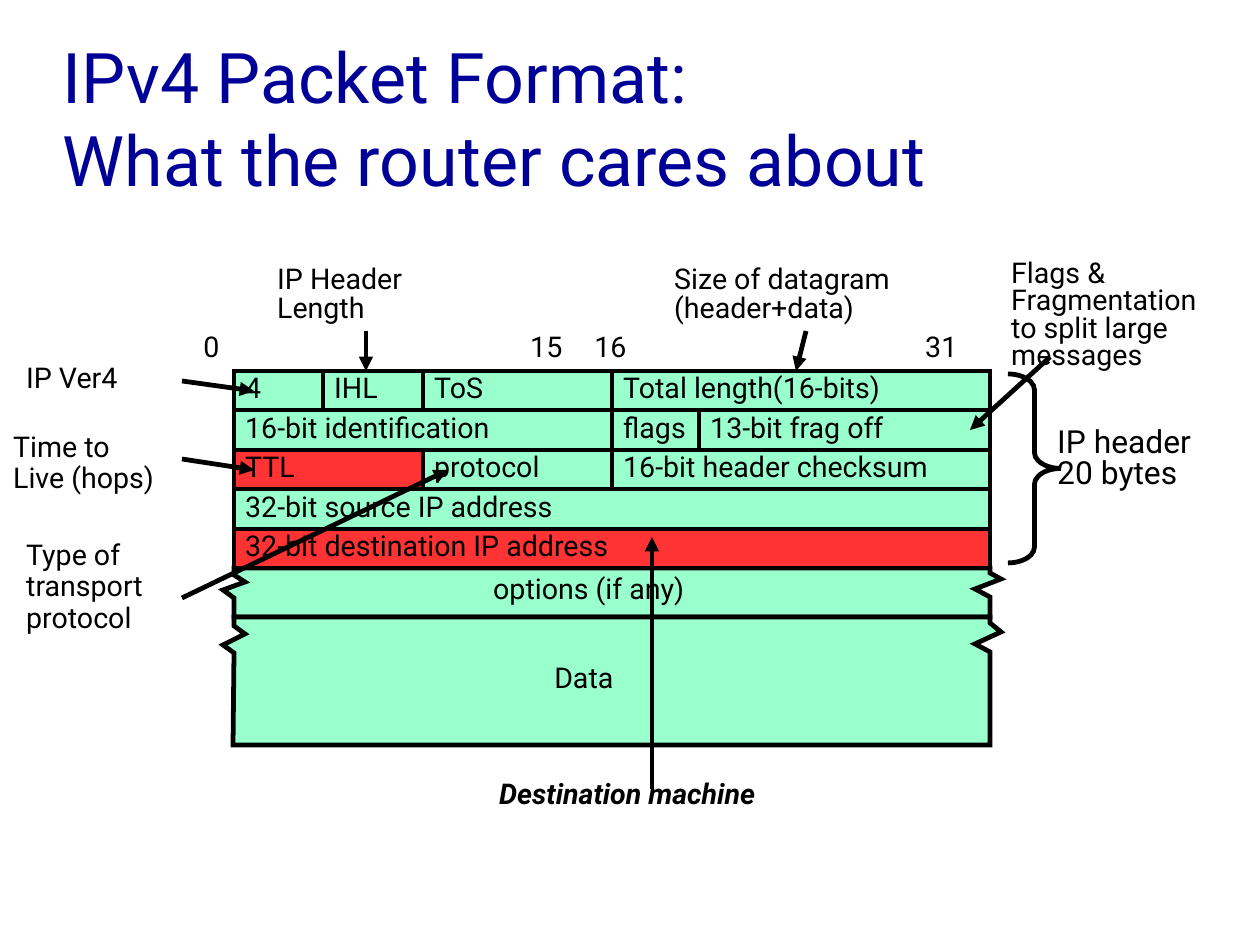
from dataclasses import dataclass
from lxml.etree import SubElement
from pptx import Presentation
from pptx.dml.color import RGBColor
from pptx.enum.shapes import MSO_CONNECTOR, MSO_SHAPE
from pptx.enum.text import MSO_ANCHOR, PP_ALIGN
from pptx.oxml.ns import qn
from pptx.util import Pt

PX = 8000
SLIDE_W, SLIDE_H = 1260, 945


@dataclass(frozen=True)
class Theme:
    font: str = "Roboto"
    title: str = "000099"
    ink: str = "000000"
    field: str = "99FFCC"
    router: str = "FF3333"
    title_size: int = 44
    body_size: int = 18
    brace_size: int = 20
    line: int = 3


THEME = Theme()

TITLE = "IPv4 Packet Format:\vWhat the router cares about"
TITLE_BOX = (63, 38, 1134, 158)

HEADER_RIGHT = 990
HEADER_TOP, HEADER_BOTTOM = 371, 568
HEADER_ROWS = [
    [("4", 234), ("IHL", 323), ("ToS", 423), ("Total length(16-bits)", 612)],
    [("16-bit identification", 234), ("flags", 612), ("13-bit frag off", 699)],
    [("TTL", 234), ("protocol", 423), ("16-bit header checksum", 612)],
    [("32-bit source IP address", 234)],
    [("32-bit destination IP address", 234)],
]
ROUTER_FIELDS = {"TTL", "32-bit destination IP address"}

OPTIONS_OUTLINE = [
    (234, 617), (990, 617), (990, 597), (975, 589), (1001, 579), (990, 573),
    (990, 568), (234, 568), (234, 575), (245, 582), (223, 590), (234, 598),
]
DATA_OUTLINE = [
    (233, 745), (990, 745), (990, 652), (975, 644), (1001, 632), (990, 623),
    (990, 617), (234, 617), (234, 626), (245, 634), (223, 645), (234, 653),
]

BIT_TOP = 330
BITS = [("0", 192), ("15", 519), ("16", 583), ("31", 914)]

LABELS = [
    (["options (if any)"], (482, 572, 261, 39), 0),
    (["Data"], (543, 661, 138, 39), 0),
    (["IP Ver4"], (15, 361, 171, 39), 0),
    (["IP Header", "Length"], (266, 262, 205, 67), 1.2),
    (["Size of datagram", "(header+data)"], (663, 262, 289, 67), 1.2),
    (["Flags &", "Fragmentation", "to split large", "messages"], (1000, 256, 257, 121), 0),
    (["Time to", "Live (hops)"], (2, 430, 217, 70), 2.4),
    (["Type of", "transport", "protocol"], (15, 538, 190, 101), 2.4),
]
BRACE = (1008, 374, 53, 189)
BRACE_LABEL = (["IP header", "20 bytes"], (1046, 424, 213, 72))
DESTINATION = (["Destination machine"], (488, 777, 358, 39))

ARROWS = [
    ((182, 381), (254, 391)),
    ((366, 331), (366, 371)),
    ((806, 331), (796, 371)),
    ((1050, 357), (970, 430)),
    ((182, 459), (254, 470)),
    ((182, 598), (448, 470)),
    ((652, 789), (652, 537)),
]

prs = Presentation()
prs.slide_width, prs.slide_height = SLIDE_W * PX, SLIDE_H * PX
s = prs.slides.add_slide(prs.slide_layouts[6])


def emu(*lengths):
    return [n * PX for n in lengths]


def write(tf, lines, gap=0, size=THEME.body_size, color=THEME.ink, spacing=0.8, emphasis=False):
    tf.word_wrap = True
    for i, line in enumerate(lines):
        p = tf.add_paragraph() if i else tf.paragraphs[0]
        p.text = line
        p.alignment = PP_ALIGN.LEFT
        p.line_spacing = spacing
        p.space_before = Pt(gap if i else 0)
        p.font.name = THEME.font
        p.font.size = Pt(size)
        p.font.bold = p.font.italic = emphasis
        p.font.color.rgb = RGBColor.from_string(color)


def add_label(lines, box, **style):
    tf = s.shapes.add_textbox(*emu(*box)).text_frame
    write(tf, lines, **style)
    return tf


def outline(sp):
    sp.line.color.rgb = RGBColor.from_string(THEME.ink)
    sp.line.width = Pt(THEME.line)
    ln = sp.line._get_or_add_ln()
    SubElement(ln, qn("a:miter"), lim="800000")
    return ln


def paint(sp, fill=None):
    sp.shadow.inherit = False
    if fill:
        sp.fill.solid()
        sp.fill.fore_color.rgb = RGBColor.from_string(fill)
    else:
        sp.fill.background()
    outline(sp)


def add_torn(points):
    builder = s.shapes.build_freeform(*points[0], scale=PX)
    builder.add_line_segments(points[1:], close=True)
    paint(builder.convert_to_shape(), THEME.field)


def add_field(name, left, top, right, bottom):
    sp = s.shapes.add_shape(MSO_SHAPE.RECTANGLE, *emu(left, top, right - left, bottom - top))
    paint(sp, THEME.router if name in ROUTER_FIELDS else THEME.field)
    sp.text_frame.vertical_anchor = MSO_ANCHOR.MIDDLE
    sp.text_frame.margin_right = 0
    write(sp.text_frame, [name])


def add_arrow(start, end):
    cxn = s.shapes.add_connector(MSO_CONNECTOR.STRAIGHT, *emu(*start, *end))
    SubElement(outline(cxn), qn("a:tailEnd"), type="triangle")
    SubElement(cxn._element.spPr, qn("a:effectLst"))


tf = add_label([TITLE], TITLE_BOX, size=THEME.title_size, color=THEME.title, spacing=1.0)
tf.margin_left = tf.margin_right = tf.margin_top = tf.margin_bottom = 0
tf.vertical_anchor = MSO_ANCHOR.MIDDLE

add_torn(OPTIONS_OUTLINE)
pitch = (HEADER_BOTTOM - HEADER_TOP) / len(HEADER_ROWS)
for i, row in enumerate(HEADER_ROWS):
    top, bottom = (round(HEADER_TOP + pitch * n) for n in (i, i + 1))
    rights = [left for _, left in row[1:]] + [HEADER_RIGHT]
    for (name, left), right in zip(row, rights):
        add_field(name, left, top, right, bottom)
add_torn(DATA_OUTLINE)

for bit, left in BITS:
    add_label([bit], (left, BIT_TOP, 112, 39))
for lines, box, gap in LABELS:
    add_label(lines, box, gap=gap)

brace = s.shapes.add_shape(MSO_SHAPE.RIGHT_BRACE, *emu(*BRACE))
brace.adjustments[0] = 0.3
paint(brace)
add_label(*BRACE_LABEL, size=THEME.brace_size)

for start, end in ARROWS:
    add_arrow(start, end)
add_label(*DESTINATION, emphasis=True)

prs.save("out.pptx")
